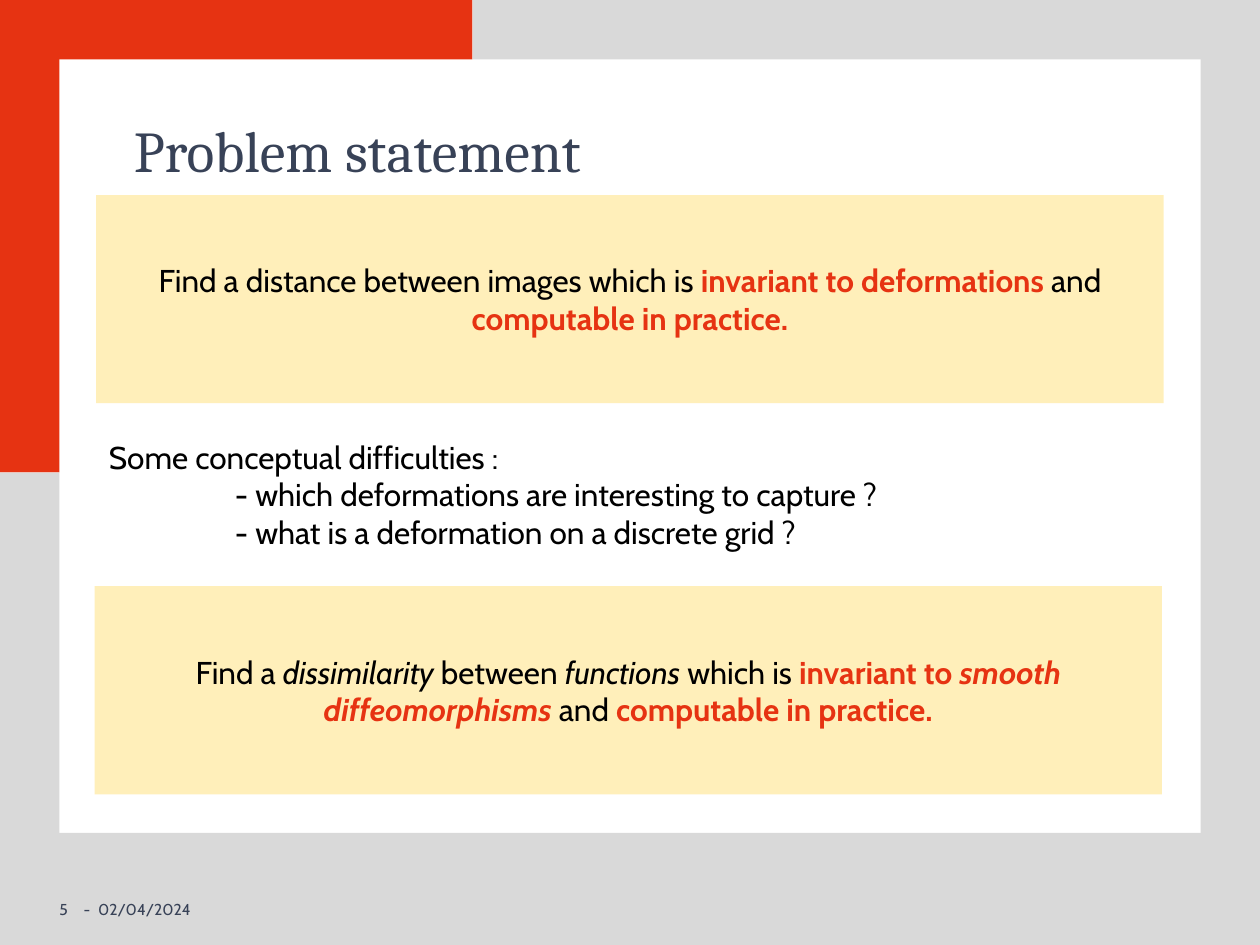
from dataclasses import dataclass

from pptx import Presentation
from pptx.dml.color import RGBColor
from pptx.enum.shapes import MSO_SHAPE
from pptx.enum.text import MSO_ANCHOR, MSO_AUTO_SIZE, PP_ALIGN
from pptx.oxml.ns import qn
from pptx.util import Pt

RECT = MSO_SHAPE.RECTANGLE
TOP, MIDDLE, BOTTOM = MSO_ANCHOR.TOP, MSO_ANCHOR.MIDDLE, MSO_ANCHOR.BOTTOM
LEFT, CENTER = PP_ALIGN.LEFT, PP_ALIGN.CENTER
NO_FIT = MSO_AUTO_SIZE.NONE

RED, GREY, YELLOW = "E63312", "D9D9D9", "FFCD1C"
NAVY, BLACK = "384257", "000000"
W, H = 720, 540
EDGE, CORNER, FOOT = 34, 270, 476


@dataclass
class Box:
    x: float
    y: float
    w: float
    h: float


@dataclass
class Run:
    text: str
    size: float = 18
    color: str = BLACK
    bold: bool = False
    italic: bool = False
    font: str = "Cabin"


def rgb(color: str) -> RGBColor:
    return RGBColor.from_string(color)


def place(sp, box: Box) -> None:
    sp.left, sp.top, sp.width, sp.height = map(Pt, (box.x, box.y, box.w, box.h))


def add_runs(p, runs: list[Run]) -> None:
    for run in runs:
        r = p.add_run()
        r.text = run.text
        f = r.font
        f.name, f.size = run.font, Pt(run.size)
        f.bold, f.italic = run.bold, run.italic
        f.color.rgb = rgb(run.color)


def set_frame(tf, anchor, inset: bool = True) -> None:
    tf.word_wrap = True
    tf.auto_size = NO_FIT
    tf.vertical_anchor = anchor
    if not inset:
        tf.margin_left = tf.margin_top = tf.margin_right = tf.margin_bottom = 0


def add_rect(s, box: Box, color: str, opacity: int = 100):
    sp = s.shapes.add_shape(RECT, *map(Pt, (box.x, box.y, box.w, box.h)))
    sp.shadow.inherit = False
    sp.line.fill.background()
    sp.fill.solid()
    sp.fill.fore_color.rgb = rgb(color)
    if opacity < 100:
        clr = sp.fill._xPr.find(qn("a:solidFill"))[0]
        clr.makeelement(qn("a:alpha"), {})
        alpha = clr.makeelement(qn("a:alpha"), {"val": str(opacity * 1000)})
        clr.append(alpha)
    return sp


def add_callout(s, box: Box, runs: list[Run]) -> None:
    tf = add_rect(s, box, YELLOW, 30).text_frame
    set_frame(tf, MIDDLE)
    p = tf.paragraphs[0]
    p.alignment = CENTER
    add_runs(p, runs)


def add_footer(s, x: float, w: float, text: str, align=LEFT) -> None:
    sp = s.shapes.add_textbox(Pt(x), Pt(502.5), Pt(w), Pt(22.5))
    set_frame(sp.text_frame, BOTTOM, inset=False)
    p = sp.text_frame.paragraphs[0]
    p.alignment = align
    add_runs(p, [Run(text, 9, NAVY)])


def add_item(p, text: str, indent: float) -> None:
    pPr = p._p.get_or_add_pPr()
    pPr.set("marL", str(Pt(indent)))
    pPr.set("indent", "0")
    pPr.append(pPr.makeelement(qn("a:buNone"), {}))
    p.space_before = Pt(0)
    add_runs(p, [Run(text)])


prs = Presentation()
prs.slide_width, prs.slide_height = Pt(W), Pt(H)
s = prs.slides.add_slide(prs.slide_layouts[1])
title, body = s.placeholders

# Frame around the white page
FRAME = [
    (Box(0, 0, CORNER, EDGE), RED),
    (Box(0, 0, EDGE, CORNER), RED),
    (Box(CORNER, 0, W - CORNER, EDGE), GREY),
    (Box(0, CORNER, EDGE, H - CORNER), GREY),
    (Box(0, FOOT, W, H - FOOT), GREY),
    (Box(W - EDGE, 0, EDGE, H), GREY),
]
for box, color in FRAME:
    add_rect(s, box, color)

# Footer: page number, dash, date
add_footer(s, EDGE, 11.5, "5")
add_footer(s, 45.5, 8.5, "-", CENTER)
add_footer(s, 56, 212, "02/04/2024")

# Title
place(title, Box(76.5, 65.5, 567, 46))
set_frame(title.text_frame, TOP, inset=False)
p = title.text_frame.paragraphs[0]
p.alignment = LEFT
add_runs(p, [Run("Problem statement", 33, NAVY, font="Cambria")])

# Problem, first as stated and then refined
add_callout(s, Box(55, 111.5, 610, 119), [
    Run("Find a distance between images which is "),
    Run("invariant to deformations ", color=RED, bold=True),
    Run("and "),
    Run("computable in practice.", color=RED, bold=True),
])
add_callout(s, Box(54, 335, 610, 119), [
    Run("Find a "),
    Run("dissimilarity", italic=True),
    Run(" between "),
    Run("functions", italic=True),
    Run(" which is "),
    Run("invariant to ", color=RED, bold=True),
    Run("smooth diffeomorphisms ", color=RED, bold=True, italic=True),
    Run("and "),
    Run("computable in practice.", color=RED, bold=True),
])

# Difficulties
place(body, Box(55, 246.5, 614, 72.5))
tf = body.text_frame
set_frame(tf, TOP)
add_item(tf.paragraphs[0], "Some conceptual difficulties :", 0)
for text in ("- which deformations are interesting to capture ?",
             "- what is a deformation on a discrete grid ?"):
    add_item(tf.add_paragraph(), text, 72)

prs.save("out.pptx")
